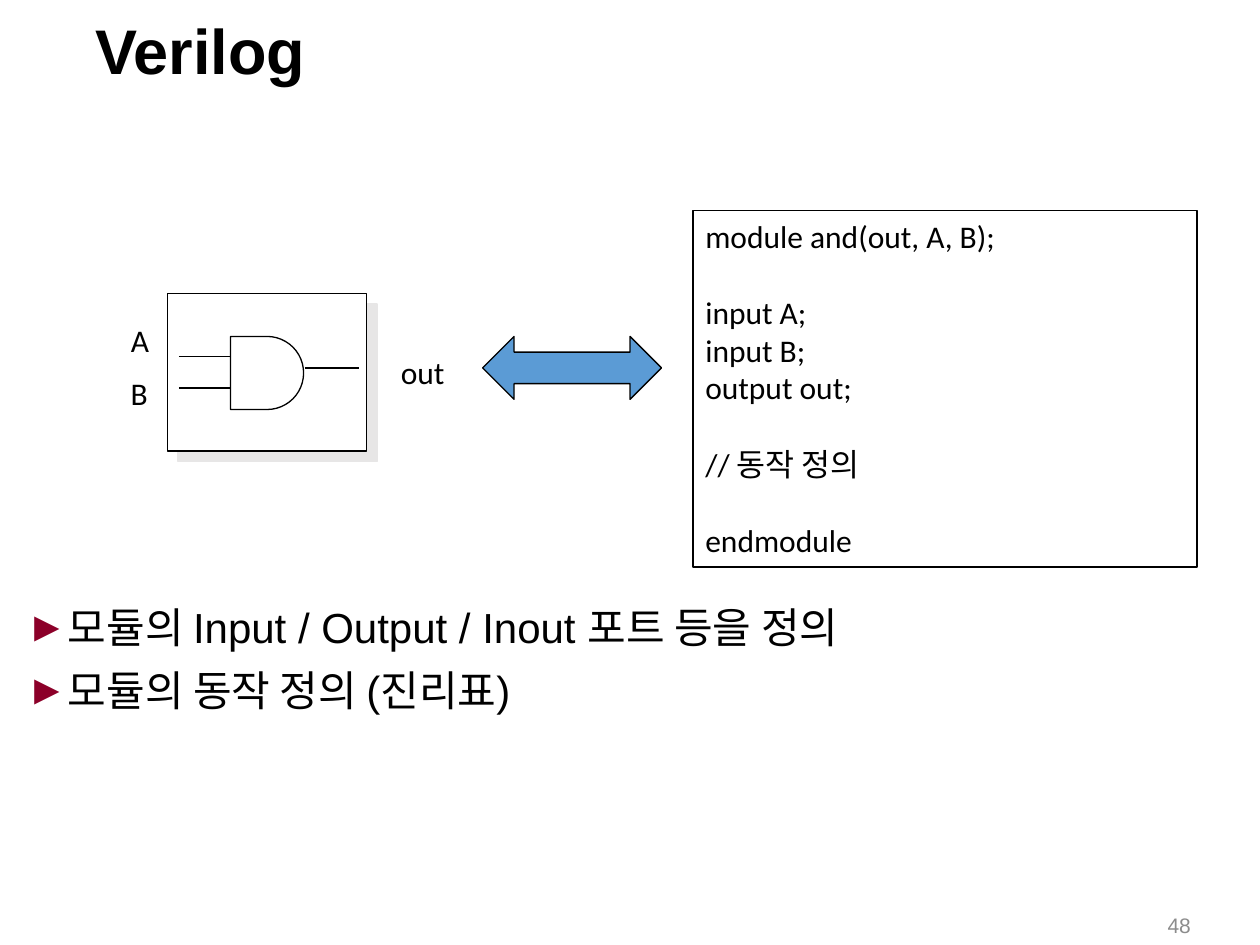
from lxml.etree import SubElement
from pptx import Presentation
from pptx.dml.color import RGBColor
from pptx.enum.shapes import MSO_CONNECTOR, MSO_SHAPE
from pptx.enum.text import MSO_ANCHOR, PP_ALIGN
from pptx.oxml import parse_xml
from pptx.oxml.ns import nsdecls, qn
from pptx.util import Inches, Pt

BLACK = RGBColor(0x00, 0x00, 0x00)
WHITE = RGBColor(0xFF, 0xFF, 0xFF)
GRAY = RGBColor(0x8C, 0x8C, 0x8C)
BLUE = RGBColor(0x5B, 0x9B, 0xD5)
BULLET_COLOR = "8C0029"
SHADOW_COLOR = "E7E6E6"

TITLE = "Verilog"
PAGE_NUMBER = "48"
BULLETS = ["모듈의 Input / Output / Inout 포트 등을 정의", "모듈의 동작 정의 (진리표)"]
CODE_BLOCKS = [
    ["module and(out, A, B);"],
    ["input A;", "input B;", "output out;"],
    ["// 동작 정의"],
    ["endmodule"],
]
CODE_LINE_HEIGHT = 22  # points, one line of 18 pt Calibri
PORT_LABELS = [  # text, left, top, width
    ("A", 0.92, 2.5, 0.38),
    ("B", 0.92, 2.92, 0.37),
    ("out", 3.08, 2.75, 0.55),
]
WIRES = [  # start x, end x, y
    (1.42, 1.83, 2.83),
    (1.42, 1.83, 3.08),
    (2.42, 2.85, 2.92),
]


def add_run(paragraph, text, size, font_name, color=BLACK, bold=False):
    run = paragraph.add_run()
    run.text = text
    run.font.size = Pt(size)
    run.font.name = font_name
    run.font.bold = bold
    run.font.color.rgb = color


def add_text_box(slide, box, anchor=MSO_ANCHOR.TOP, wrap=True):
    frame = slide.shapes.add_textbox(*map(Inches, box)).text_frame
    frame.word_wrap = wrap
    frame.vertical_anchor = anchor
    return frame


def add_outlined_shape(slide, kind, box, fill=None):
    shape = slide.shapes.add_shape(kind, *map(Inches, box))
    shape.shadow.inherit = False
    if fill is None:
        shape.fill.background()
    else:
        shape.fill.solid()
        shape.fill.fore_color.rgb = fill
    shape.line.color.rgb = BLACK
    shape.line.width = Pt(0.75)
    return shape


def add_hard_shadow(shape):
    effects = shape._element.spPr.find(qn("a:effectLst"))
    effects.append(parse_xml(
        f'<a:outerShdw {nsdecls("a")} dist="{Pt(8.5)}" dir="2700000" algn="ctr" '
        f'rotWithShape="0"><a:srgbClr val="{SHADOW_COLOR}"/></a:outerShdw>'))


def add_wire(slide, start_x, end_x, y):
    wire = slide.shapes.add_connector(
        MSO_CONNECTOR.STRAIGHT, Inches(start_x), Inches(y), Inches(end_x), Inches(y))
    wire.line.color.rgb = BLACK
    wire.line.width = Pt(0.75)
    SubElement(wire._element.spPr, qn("a:effectLst"))


def set_bullet(paragraph):
    properties = paragraph._p.get_or_add_pPr()
    properties.set("marL", str(Inches(0.29)))
    properties.set("indent", str(Inches(-0.29)))
    color = SubElement(properties, qn("a:buClr"))
    SubElement(color, qn("a:srgbClr")).set("val", BULLET_COLOR)
    SubElement(properties, qn("a:buFont")).set("typeface", "Arial")
    SubElement(properties, qn("a:buChar")).set("char", "►")


def add_texts(slide):
    frame = add_text_box(slide, (7.3, 7.09, 2.25, 0.4), MSO_ANCHOR.BOTTOM)
    frame.paragraphs[0].alignment = PP_ALIGN.RIGHT
    add_run(frame.paragraphs[0], PAGE_NUMBER, 12, "Arial", GRAY)

    title = add_text_box(slide, (-3.39, 0.11, 9.96, 0.65)).paragraphs[0]
    title.alignment = PP_ALIGN.CENTER
    title.line_spacing = 0.9
    add_run(title, TITLE, 36, "Arial", bold=True)

    frame = add_text_box(slide, (0.11, 4.77, 9.72, 2.04))
    for index, text in enumerate(BULLETS):
        paragraph = frame.add_paragraph() if index else frame.paragraphs[0]
        set_bullet(paragraph)
        paragraph.line_spacing = 0.9
        if index:
            paragraph.space_before = Pt(10)
        add_run(paragraph, text, 24, "Arial")


def add_gate(slide):
    block = add_outlined_shape(slide, MSO_SHAPE.RECTANGLE, (1.33, 2.33, 1.58, 1.25), WHITE)
    add_hard_shadow(block)
    add_outlined_shape(slide, MSO_SHAPE.FLOWCHART_DELAY, (1.83, 2.67, 0.58, 0.58))
    for wire in WIRES:
        add_wire(slide, *wire)
    for text, left, top, width in PORT_LABELS:
        frame = add_text_box(slide, (left, top, width, 0.4), MSO_ANCHOR.MIDDLE, wrap=False)
        frame.paragraphs[0].alignment = PP_ALIGN.CENTER
        add_run(frame.paragraphs[0], text, 18, "Calibri")


def add_code(slide):
    frame = add_outlined_shape(slide, MSO_SHAPE.RECTANGLE, (5.5, 1.67, 4, 2.83)).text_frame
    frame.word_wrap = True
    frame.vertical_anchor = MSO_ANCHOR.TOP
    for block_index, block in enumerate(CODE_BLOCKS):
        for line_index, line in enumerate(block):
            first = block_index == line_index == 0
            paragraph = frame.paragraphs[0] if first else frame.add_paragraph()
            paragraph.alignment = PP_ALIGN.LEFT
            if block_index and line_index == 0:
                paragraph.space_before = Pt(CODE_LINE_HEIGHT)
            add_run(paragraph, line, 18, "Calibri")


def main():
    presentation = Presentation()
    presentation.slide_width = Inches(10)
    presentation.slide_height = Inches(7.5)
    slide = presentation.slides.add_slide(presentation.slide_layouts[6])
    add_texts(slide)
    add_gate(slide)
    add_code(slide)
    add_outlined_shape(slide, MSO_SHAPE.LEFT_RIGHT_ARROW, (3.83, 2.67, 1.42, 0.5), BLUE)
    presentation.save("out.pptx")


if __name__ == "__main__":
    main()
